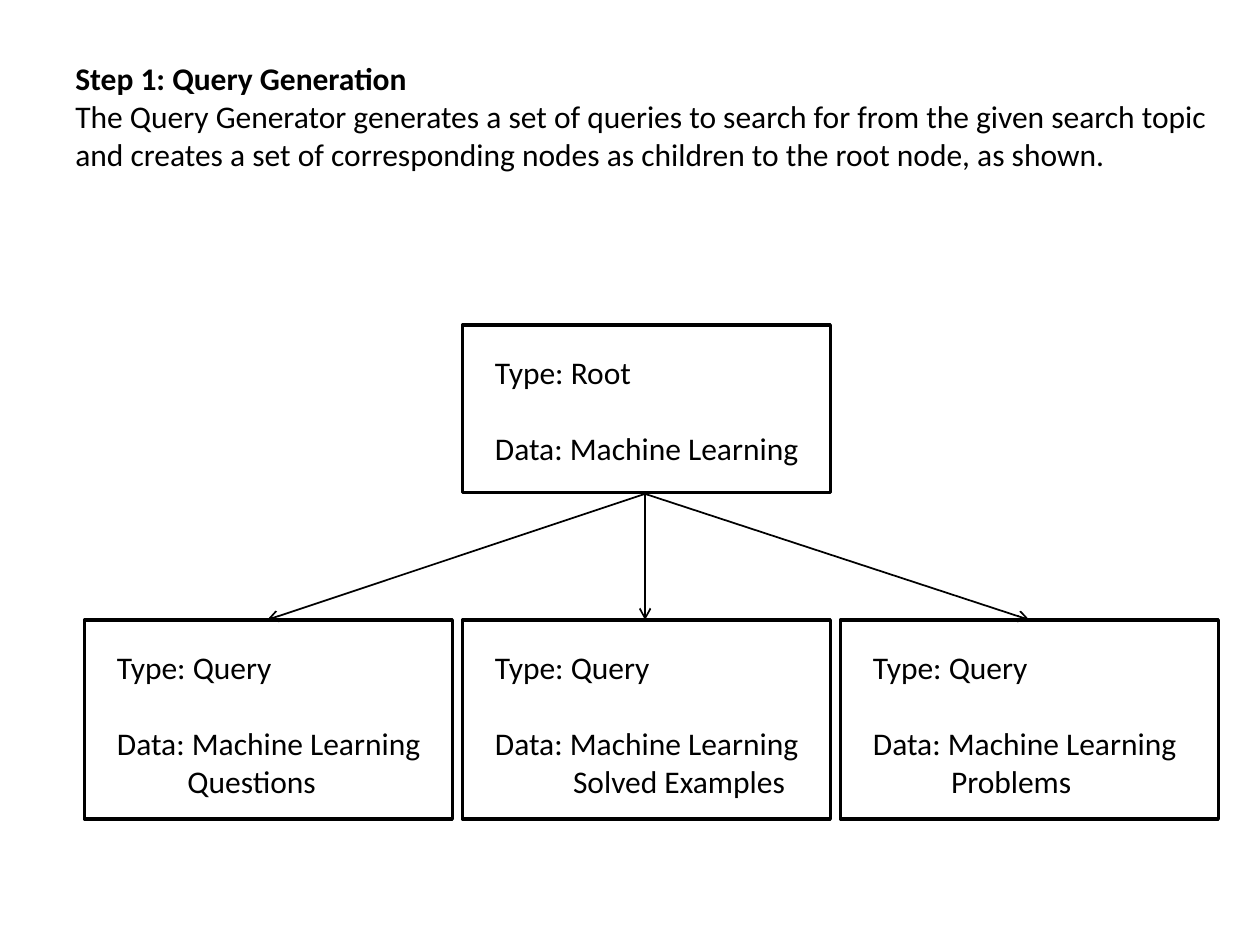
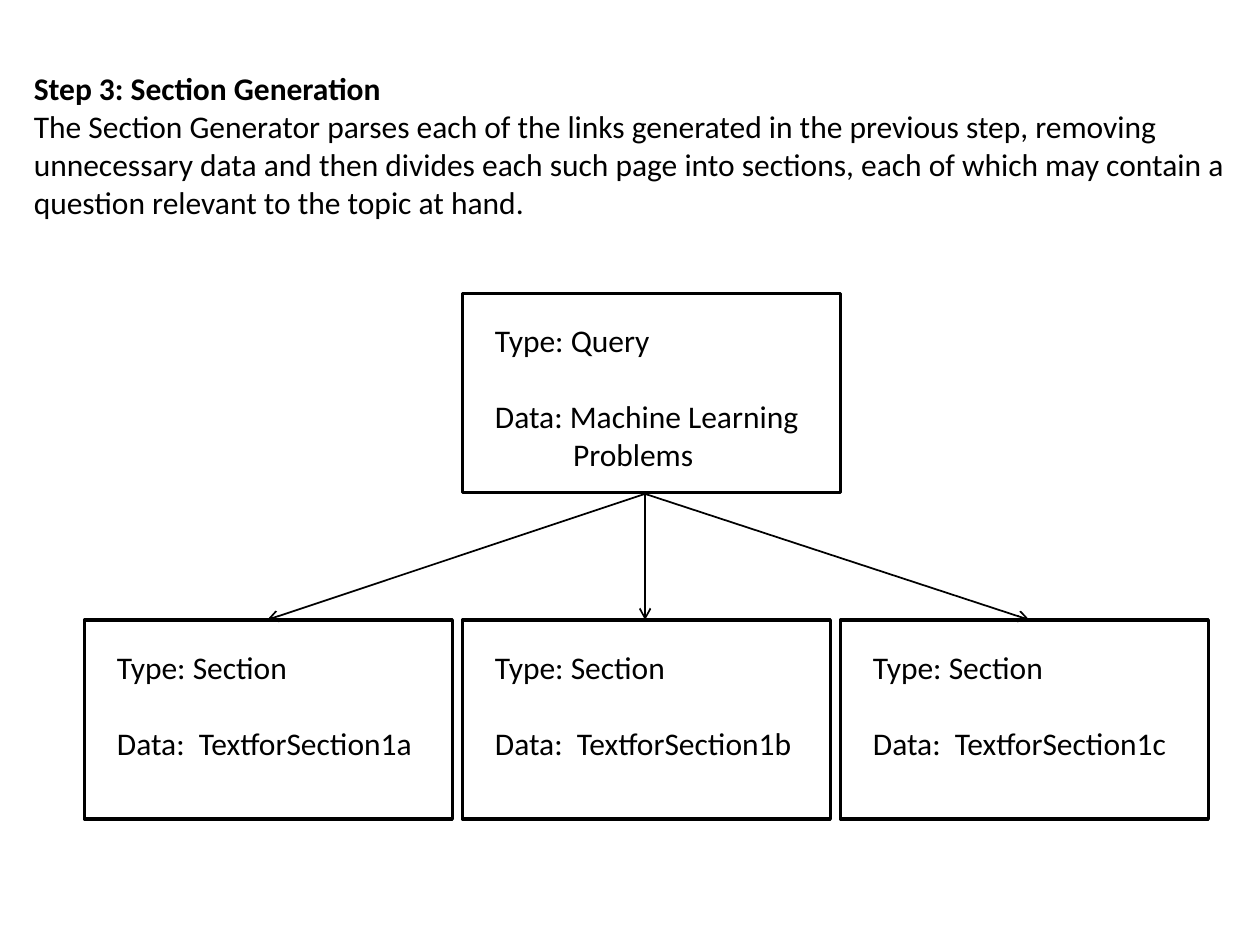
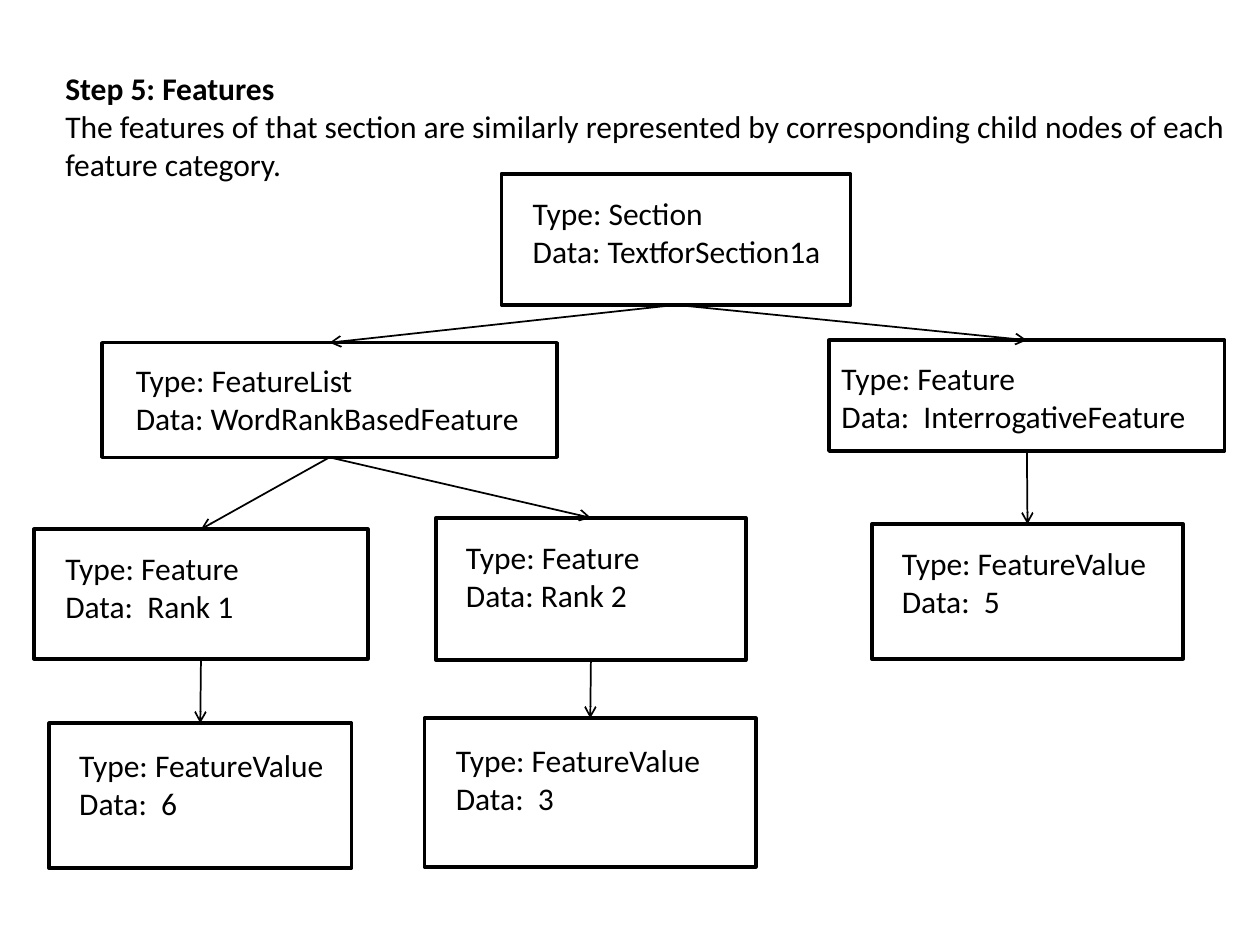
"""Build three slides that show how a search topic grows into a tree of nodes."""
from typing import NamedTuple

from lxml import etree
from pptx import Presentation
from pptx import util as u
from pptx.dml.color import RGBColor
from pptx.enum import shapes, text
from pptx.oxml.ns import qn

BLACK = RGBColor(0, 0, 0)
FONT = {"name": "Calibri", "size": u.Pt(18)}
FRAME = {"word_wrap": False, "auto_size": text.MSO_AUTO_SIZE.SHAPE_TO_FIT_TEXT}
BOX_LINE = u.Pt(2)
ARROW_LINE = u.Pt(1)
LINE_HEIGHT = 0.3
LINE_GAP = 22

COLUMNS = (0.67, 3.67, 6.67)
CHILD_TOP = 4.92
CHILD_HEIGHT = 1.58
NODE_WIDTH = 2.92
WIDE_NODE = 3
LABEL_OFFSET = (0.16, 0.17)
LABEL_WIDTH = 2.64
FAN_START = (5.12, 3.92)
FAN_ENDS = (2.12, 5.12, 8.17)


class Line(NamedTuple):
    """One paragraph with its space before, left indent and weight."""
    content: str
    gap: float = 0
    indent: float = 0
    bold: bool = False


class Node(NamedTuple):
    """A box in the feature tree with its label."""
    area: tuple
    offset: tuple
    label_width: float
    kind: str
    data: str


FEATURE_NODES = {
    "section": Node((3.98, 1.38, 2.77, 1.04), (0.15, 0.11), 2.6, "Section", "TextforSection1a"),
    "list": Node((0.81, 2.72, 3.61, 0.91), (0.17, 0.1), 3.46, "FeatureList", "WordRankBasedFeature"),
    "question": Node((6.58, 2.7, 3.14, 0.88), (0, 0.1), 3.08, "Feature", " InterrogativeFeature"),
    "rank 1": Node((0.27, 4.2, 2.65, 1.03), (0.15, 0.11), 1.66, "Feature", " Rank 1"),
    "rank 2": Node((3.46, 4.11, 2.46, 1.13), (0.14, 0.11), 1.66, "Feature", "Rank 2"),
    "question value": Node((6.92, 4.16, 2.47, 1.07), (0.14, 0.11), 2.27, "FeatureValue", " 5"),
    "rank 1 value": Node((0.39, 5.74, 2.4, 1.15), (0.14, 0.13), 2.22, "FeatureValue", " 6"),
    "rank 2 value": Node((3.37, 5.7, 2.63, 1.18), (0.15, 0.13), 2.43, "FeatureValue", " 3"),
}
FEATURE_LINKS = (
    ("section", "list"), ("section", "question"),
    ("list", "rank 1"), ("list", "rank 2"),
    ("question", "question value"),
    ("rank 1", "rank 1 value"), ("rank 2", "rank 2 value"),
)


def inches(values):
    """Turn plain numbers into lengths."""
    return [u.Inches(value) for value in values]


def set_all(target, values):
    """Set every attribute named in a dict of format values."""
    for name, value in values.items():
        setattr(target, name, value)


def add_text(page, left, top, width, lines):
    """Place left-aligned lines in a text box."""
    height = LINE_HEIGHT * len(lines) + 0.1
    frame = page.shapes.add_textbox(*inches((left, top, width, height))).text_frame
    set_all(frame, FRAME)
    for index, line in enumerate(lines):
        para = frame.paragraphs[0] if index == 0 else frame.add_paragraph()
        if line.gap:
            para.space_before = u.Pt(line.gap)
        if line.indent:
            para._p.get_or_add_pPr().set("marL", str(u.Inches(line.indent)))
        span = para.add_run()
        span.text = line.content
        set_all(span.font, {**FONT, "bold": line.bold})
        span.font.color.rgb = BLACK


def add_heading(page, left, top, width, title, *sentences):
    """Write the bold step title and its description."""
    lines = [Line(title, bold=True), *map(Line, sentences)]
    add_text(page, left, top, width, lines)


def add_node(page, area, offset, label_width, lines):
    """Draw an outlined box with its label."""
    box = page.shapes.add_shape(shapes.MSO_SHAPE.RECTANGLE, *inches(area))
    box.shadow.inherit = False
    box.fill.background()
    box.line.color.rgb = BLACK
    box.line.width = BOX_LINE
    add_text(page, area[0] + offset[0], area[1] + offset[1], label_width, lines)


def add_tree_node(page, left, top, width, height, kind, data, ending="", indent=0.62):
    """Draw a node whose type and data stand one line apart."""
    lines = [Line(f"Type: {kind}"), Line(f"Data: {data}", gap=LINE_GAP)]
    if ending:
        lines.append(Line(ending, indent=indent))
    add_node(page, (left, top, width, height), LABEL_OFFSET, LABEL_WIDTH, lines)


def add_arrow(page, start, end):
    """Draw a thin line with an open arrowhead at its end."""
    arrow = page.shapes.add_connector(shapes.MSO_CONNECTOR.STRAIGHT, *inches((*start, *end)))
    arrow.line.color.rgb = BLACK
    arrow.line.width = ARROW_LINE
    etree.SubElement(arrow.line._get_or_add_ln(), qn("a:tailEnd"), type="arrow")
    etree.SubElement(arrow._element.spPr, qn("a:effectLst"))


def add_fan(page):
    """Link the parent node to the three children below it."""
    for end in FAN_ENDS:
        add_arrow(page, FAN_START, (end, CHILD_TOP))


def build_queries(page):
    """Show the root node and its query nodes."""
    add_heading(
        page, 0.5, 0.42, 9.66, "Step 1: Query Generation",
        "The Query Generator generates a set of queries to search for from the given search topic",
        "and creates a set of corresponding nodes as children to the root node, as shown.")
    topic = "Machine Learning"
    add_tree_node(page, COLUMNS[1], 2.58, NODE_WIDTH, 1.33, "Root", topic)
    queries = (("Questions", NODE_WIDTH, 0.56), ("Solved Examples", NODE_WIDTH, 0.62),
               ("Problems", WIDE_NODE, 0.62))
    for left, (ending, width, indent) in zip(COLUMNS, queries):
        add_tree_node(page, left, CHILD_TOP, width, CHILD_HEIGHT, "Query", topic, ending, indent)
    add_fan(page)


def build_sections(page):
    """Show a query node and its section nodes."""
    add_heading(
        page, 0.17, 0.5, 9.83, "Step 3: Section Generation",
        "The Section Generator parses each of the links generated in the previous step, removing",
        "unnecessary data and then divides each such page into sections, each of which may contain a",
        "question relevant to the topic at hand.")
    add_tree_node(page, COLUMNS[1], 2.33, WIDE_NODE, CHILD_HEIGHT,
                  "Query", "Machine Learning", "Problems")
    for left, letter in zip(COLUMNS, "abc"):
        add_tree_node(page, left, CHILD_TOP, NODE_WIDTH, CHILD_HEIGHT,
                      "Section", f" TextforSection1{letter}")
    add_fan(page)


def build_features(page):
    """Show a section node and the tree of its features."""
    add_heading(
        page, 0.42, 0.5, 9.58, "Step 5: Features",
        "The features of that section are similarly represented by corresponding child nodes of each",
        "feature category.")
    for node in FEATURE_NODES.values():
        lines = [Line(f"Type: {node.kind}"), Line(f"Data: {node.data}")]
        add_node(page, node.area, node.offset, node.label_width, lines)
    for parent, child in FEATURE_LINKS:
        left, top, width, height = FEATURE_NODES[parent].area
        child_left, child_top, child_width, _ = FEATURE_NODES[child].area
        add_arrow(page, (left + width / 2, top + height),
                  (child_left + child_width / 2, child_top))


def main():
    """Build and save the deck."""
    deck = Presentation()
    deck.slide_width, deck.slide_height = inches((10, 7.5))
    for build in (build_queries, build_sections, build_features):
        build(deck.slides.add_slide(deck.slide_layouts[6]))
    deck.save("out.pptx")


if __name__ == "__main__":
    main()
